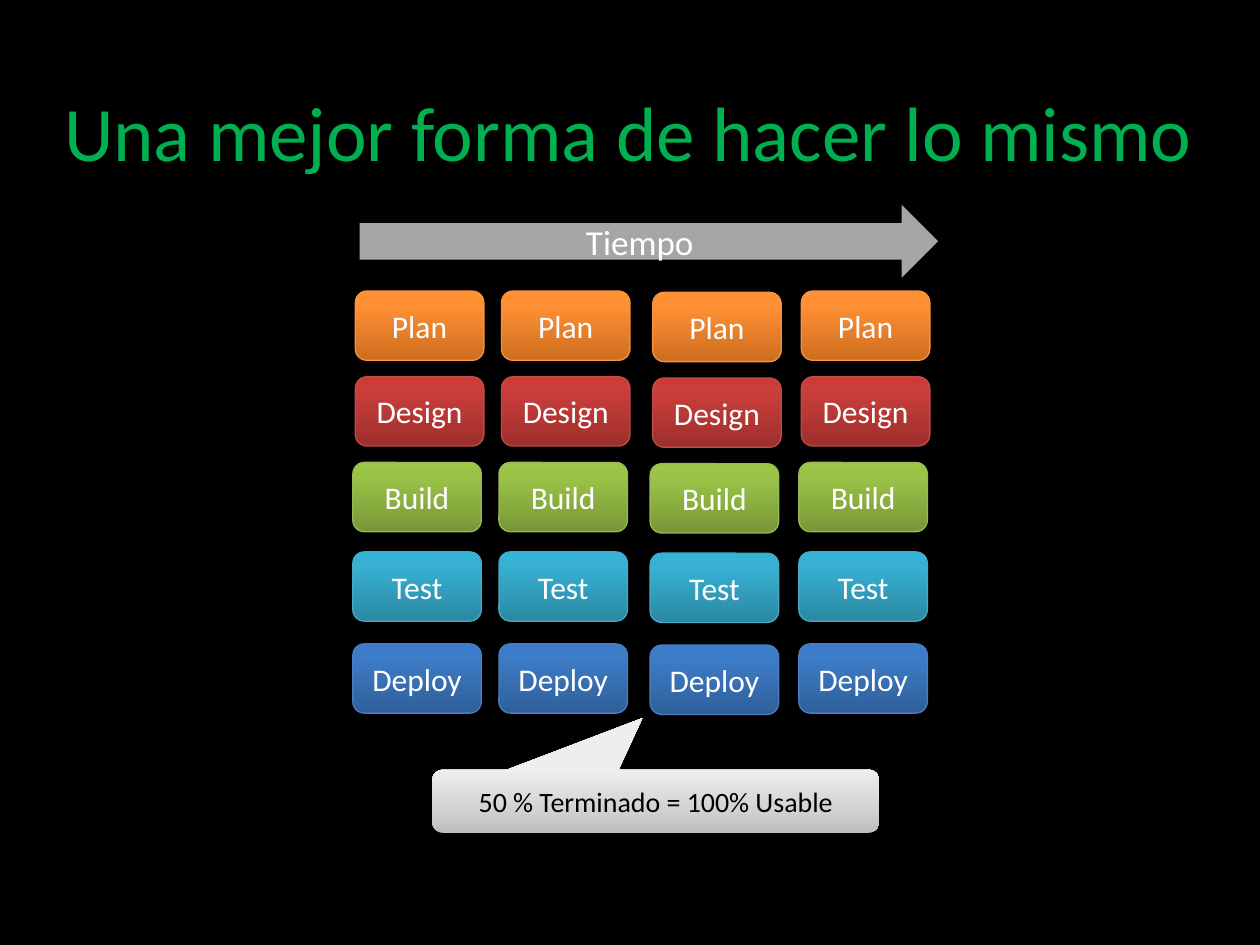
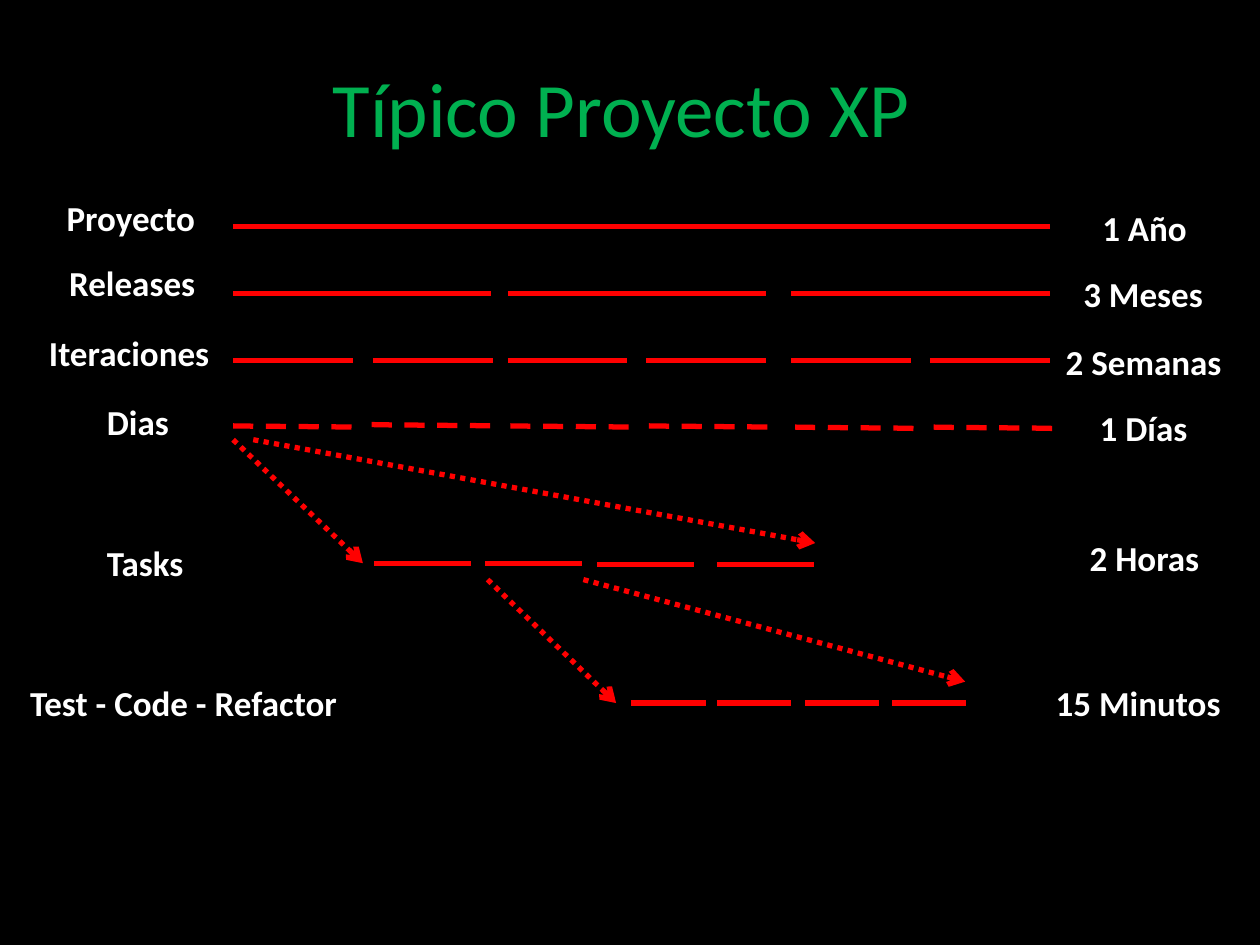
from copy import deepcopy

from lxml.etree import SubElement
from pptx import Presentation
from pptx.dml.color import RGBColor
from pptx.enum.dml import MSO_LINE
from pptx.enum.shapes import MSO_CONNECTOR, MSO_SHAPE
from pptx.enum.text import MSO_ANCHOR, MSO_AUTO_SIZE, PP_ALIGN
from pptx.oxml.ns import qn
from pptx.util import Inches, Pt

FONT = "Calibri"
BLACK = RGBColor(0x00, 0x00, 0x00)
WHITE = RGBColor(0xFF, 0xFF, 0xFF)
GREEN = RGBColor(0x00, 0xB0, 0x50)
RED = RGBColor(0xFF, 0x00, 0x00)
GRAY = RGBColor(0xA6, 0xA6, 0xA6)


def shades(*stops):
    """Turn (position, hex colour) pairs into gradient stops."""
    return [(position, RGBColor.from_string(color)) for position, color in stops]


CALLOUT_SHADES = shades((0, "BDBDBD"), (0.35, "D1D1D1"), (1, "EEEEEE"))

# Phase, left shift, top, gradient from the bottom up, outline
PHASES = [
    ("Plan", 0, 2.31, shades((0, "CC6E20"), (0.8, "FF9034"), (1, "FF9136")),
     RGBColor(0xF6, 0x92, 0x40)),
    ("Design", 0, 2.99, shades((0, "9C2F2D"), (0.8, "CB3E3A"), (1, "CE3B37")),
     RGBColor(0xBF, 0x4C, 0x48)),
    ("Build", -0.02, 3.67, shades((0, "779737"), (0.8, "9BC348"), (1, "9DC746")),
     RGBColor(0x98, 0xB9, 0x55)),
    ("Test", -0.02, 4.38, shades((0, "2A88A2"), (0.8, "37B1D2"), (1, "34B4D6")),
     RGBColor(0x46, 0xAA, 0xC5)),
    ("Deploy", -0.02, 5.11, shades((0, "2F5F99"), (0.8, "3D7CC7"), (1, "3A7CCB")),
     RGBColor(0x4B, 0x7E, 0xBC)),
]
# Left edge and drop of each cycle
CYCLES = [(2.82, 0), (3.98, 0), (5.18, 0.01), (6.36, 0)]

# Text, left, top, width
LABELS = [
    ("Proyecto", 0.43, 1.51, 1.23), ("1 Año", 8.65, 1.59, 0.88),
    ("Releases", 0.45, 2.03, 1.21), ("3 Meses", 8.5, 2.11, 1.16),
    ("Iteraciones", 0.29, 2.58, 1.49), ("2 Semanas", 8.36, 2.65, 1.45),
    ("Dias", 0.75, 3.13, 0.7), ("1 Días", 8.63, 3.18, 0.9),
    ("Tasks", 0.75, 4.25, 0.81), ("2 Horas", 8.55, 4.21, 1.08),
    ("Test - Code - Refactor", 0.14, 5.36, 2.66), ("15 Minutos", 8.28, 5.36, 1.52),
]
# Length of the bars, then the start of each
SPANS = [
    (6.48, [(1.85, 1.8)]),
    (2.05, [(x, 2.33) for x in (1.85, 4.03, 6.28)]),
    (0.95, [(x, 2.86) for x in (1.85, 2.96, 4.03, 5.13, 6.28, 7.38)]),
    (0.77, [(2.97, 4.47), (3.85, 4.47), (4.74, 4.48), (5.69, 4.48)]),
    (0.59, [(x, 5.58) for x in (5.01, 5.69, 6.39, 7.08)]),
]
WEEKS = [(1.85, 3.38), (2.95, 3.37), (4.05, 3.38),
         (5.15, 3.38), (6.31, 3.39), (7.41, 3.39)]
DAYS, DAY_PITCH, DAY_LENGTH, WEEK_SLOPE = 4, 0.26, 0.16, 0.01
ZOOMS = [((1.85, 3.49), (2.88, 4.47)), ((2.01, 3.49), (6.47, 4.31)),
         ((3.87, 4.6), (4.89, 5.58)), ((4.63, 4.6), (7.66, 5.41))]


def write(frame, text, size, color, bold=False, align=PP_ALIGN.CENTER):
    """Fill a text frame with one formatted paragraph."""
    frame.text = text
    paragraph = frame.paragraphs[0]
    paragraph.alignment = align
    font = paragraph.runs[0].font
    font.name, font.size, font.bold = FONT, Pt(size), bold
    font.color.rgb = color


def add_titled_slide(deck, title, left, top, width, height):
    """Add a slide whose title placeholder is placed and styled."""
    slide = deck.slides.add_slide(deck.slide_layouts[5])
    heading = slide.shapes.title
    heading.left, heading.top = Inches(left), Inches(top)
    heading.width, heading.height = Inches(width), Inches(height)
    write(heading.text_frame, title, 44, GREEN)
    heading.text_frame.vertical_anchor = MSO_ANCHOR.MIDDLE
    heading.text_frame.auto_size = MSO_AUTO_SIZE.NONE
    return slide


def add_block(slide, preset, text, box, size, color=WHITE):
    """Add an unshadowed, unlined preset shape with centred text."""
    block = slide.shapes.add_shape(preset, *map(Inches, box))
    block.shadow.inherit = False
    block.line.fill.background()
    write(block.text_frame, text, size, color)
    block.text_frame.vertical_anchor = MSO_ANCHOR.MIDDLE
    return block


def shade(block, stops):
    """Give a shape a three-stop gradient that runs from bottom to top."""
    block.fill.gradient()
    block.fill.gradient_angle = 90
    stop_list = block._element.spPr.find(".//" + qn("a:gsLst"))
    stop_list.insert(1, deepcopy(stop_list[0]))
    for stop, (position, color) in zip(block.fill.gradient_stops, stops):
        stop.position = position
        stop.color.rgb = color


def add_label(slide, text, left, top, width):
    """Add a bold one-line label."""
    label = slide.shapes.add_textbox(
        Inches(left), Inches(top), Inches(width), Inches(0.44))
    label.text_frame.word_wrap = False
    label.text_frame.auto_size = MSO_AUTO_SIZE.SHAPE_TO_FIT_TEXT
    write(label.text_frame, text, 20, WHITE, bold=True, align=PP_ALIGN.LEFT)


def add_bar(slide, start, end):
    """Add a red line between two points."""
    bar = slide.shapes.add_connector(
        MSO_CONNECTOR.STRAIGHT, *map(Inches, start + end))
    bar.line.color.rgb = RED
    bar.line.width = Pt(3)
    SubElement(bar._element.spPr, qn("a:effectLst"))
    return bar


def add_zoom(slide, start, end):
    """Add a dotted arrow that leads to a finer time scale."""
    zoom = add_bar(slide, start, end)
    zoom.line.dash_style = MSO_LINE.ROUND_DOT
    SubElement(zoom.line._get_or_add_ln(), qn("a:tailEnd"), type="arrow")


def build_cycles_slide(deck):
    """Show four short cycles of all the phases along a time arrow."""
    slide = add_titled_slide(
        deck, "Una mejor forma de hacer lo mismo", 0.35, 0.6, 9.28, 0.87)

    time_arrow = add_block(
        slide, MSO_SHAPE.DOWN_ARROW, "Tiempo", (4.86, -0.38, 0.58, 4.59), 20)
    time_arrow.rotation = 270
    time_arrow.fill.solid()
    time_arrow.fill.fore_color.rgb = GRAY
    time_arrow.text_frame._txBody.bodyPr.set("vert", "vert")

    for left, drop in CYCLES:
        for phase, shift, top, stops, outline in PHASES:
            block = add_block(slide, MSO_SHAPE.ROUNDED_RECTANGLE, phase,
                              (left + shift, top + drop, 1.02, 0.55), 18)
            shade(block, stops)
            block.line.color.rgb = outline
            block.line.width = Pt(0.75)

    callout = add_block(slide, MSO_SHAPE.ROUNDED_RECTANGULAR_CALLOUT,
                        "50 % Terminado = 100% Usable",
                        (3.43, 6.11, 3.55, 0.5), 16, BLACK)
    shade(callout, CALLOUT_SHADES)
    callout.adjustments[0] = -0.03
    callout.adjustments[1] = -1.32


def build_scales_slide(deck):
    """Show how a project splits into ever shorter time scales."""
    slide = add_titled_slide(deck, "Típico Proyecto XP", 0.43, 0.46, 9, 0.77)
    for label in LABELS:
        add_label(slide, *label)
    for length, starts in SPANS:
        for x, y in starts:
            add_bar(slide, (x, y), (x + length, y))
    for week_x, week_y in WEEKS:
        for day in range(DAYS):
            x = week_x + day * DAY_PITCH
            y = week_y + day * WEEK_SLOPE / DAYS
            add_bar(slide, (x, y), (x + DAY_LENGTH, y + WEEK_SLOPE / DAYS))
    for start, end in ZOOMS:
        add_zoom(slide, start, end)


def main():
    """Build and save the deck."""
    deck = Presentation()
    deck.slide_width, deck.slide_height = Inches(10), Inches(7.5)
    backdrop = deck.slide_master.background.fill
    backdrop.solid()
    backdrop.fore_color.rgb = BLACK
    build_cycles_slide(deck)
    build_scales_slide(deck)
    deck.save("out.pptx")


main()
